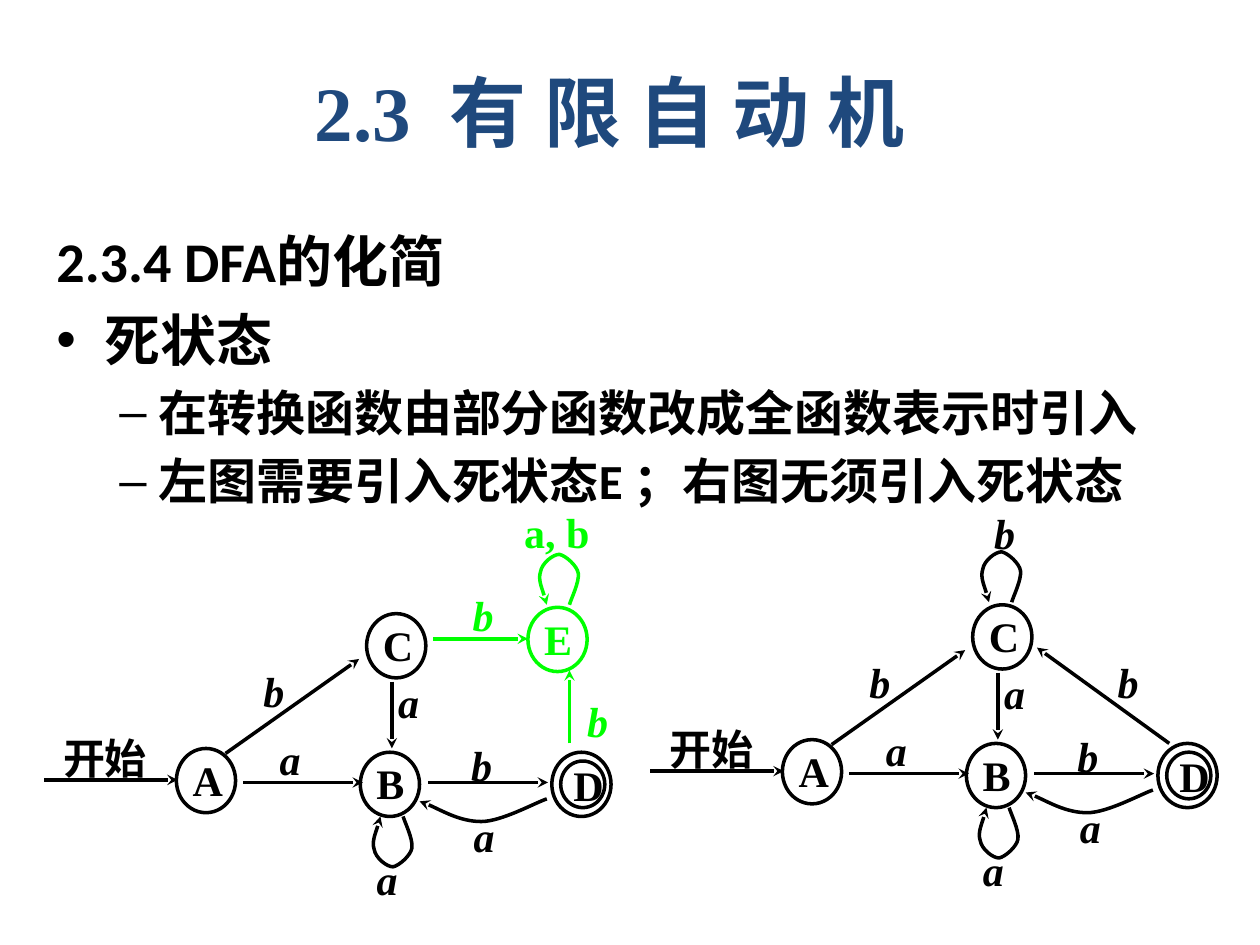
from dataclasses import dataclass

from lxml import etree
from pptx import Presentation
from pptx.dml.color import RGBColor
from pptx.enum.shapes import MSO_CONNECTOR, MSO_SHAPE
from pptx.enum.text import MSO_ANCHOR, PP_ALIGN
from pptx.oxml.ns import qn
from pptx.util import Inches, Pt

STRAIGHT = MSO_CONNECTOR.STRAIGHT
OVAL = MSO_SHAPE.OVAL
TOP, MIDDLE = MSO_ANCHOR.TOP, MSO_ANCHOR.MIDDLE
LEFT, CENTER, JUSTIFY = PP_ALIGN.LEFT, PP_ALIGN.CENTER, PP_ALIGN.JUSTIFY


@dataclass(frozen=True)
class Theme:
    black: RGBColor = RGBColor(0x00, 0x00, 0x00)
    green: RGBColor = RGBColor(0x00, 0xFF, 0x00)
    navy: RGBColor = RGBColor(0x1F, 0x49, 0x7D)
    serif: str = "Times New Roman"
    sans: str = "Calibri"
    title: int = 44
    heading: int = 32
    detail: int = 28
    label: int = 24
    line: int = 2


THEME = Theme()


@dataclass(frozen=True)
class State:
    name: str
    x: float
    y: float
    color: RGBColor = THEME.black
    accepting: bool = False


@dataclass(frozen=True)
class Arrow:
    start: tuple[float, float]
    end: tuple[float, float]
    color: RGBColor = THEME.black


@dataclass(frozen=True)
class Curve:
    """A start point followed by offsets from it, three for each Bézier segment."""
    start: tuple[float, float]
    offsets: tuple[tuple[float, float], ...]
    color: RGBColor = THEME.black


@dataclass(frozen=True)
class Label:
    text: str
    x: float
    y: float
    color: RGBColor = THEME.black
    width: float = 0.38
    height: float = 0.41
    italic: bool = True


@dataclass(frozen=True)
class Bullet:
    text: str
    size: int
    margin: float
    indent: float
    character: str = ""


LOOP_ABOVE = ((0.01, -0.04), (0.08, -0.18), (0.07, -0.25),
              (0.06, -0.31), (-0.03, -0.39), (-0.08, -0.4),
              (-0.13, -0.4), (-0.22, -0.33), (-0.23, -0.26),
              (-0.25, -0.2), (-0.19, -0.05), (-0.18, 0))
LOOP_BELOW = tuple((x, -y) for x, y in LOOP_ABOVE)
RETURN_ARC = ((-0.09, 0.03), (-0.36, 0.18), (-0.52, 0.18),
              (-0.69, 0.18), (-0.91, 0.05), (-1.01, 0.02))

SHARED = (
    State("A", 1.4, 5.94), State("B", 2.86, 5.97),
    State("C", 2.91, 4.87), State("D", 4.38, 5.97, accepting=True),
    Arrow((0.35, 6.19), (1.41, 6.19)), Arrow((1.93, 6.21), (2.88, 6.21)),
    Arrow((3.4, 6.21), (4.35, 6.21)), Arrow((1.79, 5.98), (2.85, 5.23)),
    Arrow((3.11, 5.41), (3.11, 5.94)),
    Curve((3.2, 6.48), LOOP_BELOW), Curve((4.34, 6.34), RETURN_ARC),
    Label("开始", 0.44, 5.78, width=0.82, height=0.48, italic=False),
    Label("a", 2.16, 5.79), Label("a", 2.93, 6.74), Label("b", 3.68, 5.84),
    Label("b", 2.03, 5.25), Label("a", 3.7, 6.4), Label("a", 3.1, 5.34),
)
DEAD_STATE = (
    State("E", 4.19, 4.82, THEME.green),
    Arrow((3.44, 5.07), (4.19, 5.07), THEME.green),
    Arrow((4.52, 5.9), (4.52, 5.32), THEME.green),
    Curve((4.52, 4.8), LOOP_ABOVE, THEME.green),
    Label("a, b", 4.1, 3.99, THEME.green, width=0.75, italic=False),
    Label("b", 3.69, 4.65, THEME.green), Label("b", 4.6, 5.49, THEME.green),
)
TOTAL_FUNCTION = (
    Arrow((9.28, 5.9), (8.23, 5.14)), Curve((8.03, 4.78), LOOP_ABOVE),
    Label("b", 7.83, 4.0), Label("b", 8.81, 5.18),
)
RIGHT_OFFSET = (4.81, -0.07)

BULLETS = (
    Bullet("2.3.4 DFA的化简", THEME.heading, 0.38, -0.38),
    Bullet("死状态", THEME.heading, 0.38, -0.38, "•"),
    Bullet("在转换函数由部分函数改成全函数表示时引入", THEME.detail, 0.81, -0.31, "–"),
    Bullet("左图需要引入死状态E ；右图无须引入死状态", THEME.detail, 0.81, -0.31, "–"),
)


def write(paragraph, text: str, *, size=THEME.label, font=THEME.serif,
          color=THEME.black, italic=False, align=LEFT) -> None:
    paragraph.alignment = align
    run = paragraph.add_run()
    run.text = text
    run.font.name, run.font.size = font, Pt(size)
    run.font.bold, run.font.italic = True, italic
    run.font.color.rgb = color


def set_frame(shape, insets=(0.1, 0.05, 0.1, 0.05), anchor=TOP):
    frame = shape.text_frame
    frame.word_wrap = True
    frame.vertical_anchor = anchor
    (frame.margin_left, frame.margin_top,
     frame.margin_right, frame.margin_bottom) = map(Inches, insets)
    return frame


def add_text_frame(slide, x, y, width, height, **frame_format):
    box = slide.shapes.add_textbox(Inches(x), Inches(y), Inches(width), Inches(height))
    return set_frame(box, **frame_format)


def set_line(shape, color: RGBColor, arrow: bool = False) -> None:
    shape.line.color.rgb = color
    shape.line.width = Pt(THEME.line)
    if arrow:
        line = shape.line._get_or_add_ln()
        etree.SubElement(line, qn("a:tailEnd"), type="stealth")


def add_circle(slide, x, y, width, height, color: RGBColor):
    circle = slide.shapes.add_shape(OVAL, Inches(x), Inches(y), Inches(width), Inches(height))
    circle.shadow.inherit = False
    circle.fill.background()
    set_line(circle, color)
    return circle


def draw_state(slide, state: State, dx: float, dy: float) -> None:
    x, y = state.x + dx, state.y + dy
    circle = add_circle(slide, x, y, 0.47, 0.51, state.color)
    insets, align = (0.06, 0.03, 0.02, 0.05), LEFT
    if state.accepting:
        circle = add_circle(slide, x + 0.07, y + 0.07, 0.35, 0.37, state.color)
        insets, align = (0.05, 0, 0.01, 0), JUSTIFY
    frame = set_frame(circle, insets, MIDDLE)
    write(frame.paragraphs[0], state.name, color=state.color, align=align)


def draw_arrow(slide, arrow: Arrow, dx: float, dy: float) -> None:
    ends = [Inches(value) for x, y in (arrow.start, arrow.end) for value in (x + dx, y + dy)]
    connector = slide.shapes.add_connector(STRAIGHT, *ends)
    set_line(connector, arrow.color, arrow=True)
    etree.SubElement(connector.element.spPr, qn("a:effectLst"))


def draw_curve(slide, curve: Curve, dx: float, dy: float) -> None:
    """Build an outline through the control points, then turn it into Bézier segments."""
    x, y = curve.start[0] + dx, curve.start[1] + dy
    builder = slide.shapes.build_freeform(Inches(x), Inches(y))
    builder.add_line_segments([(Inches(x + a), Inches(y + b)) for a, b in curve.offsets],
                              close=False)
    shape = builder.convert_to_shape()
    shape.shadow.inherit = False
    shape.fill.background()
    set_line(shape, curve.color, arrow=True)
    segments = list(shape.element.iter(qn("a:lnTo")))
    for first in range(0, len(segments), 3):
        bezier = etree.Element(qn("a:cubicBezTo"))
        segments[first].addprevious(bezier)
        for segment in segments[first:first + 3]:
            bezier.append(segment[0])
            segment.getparent().remove(segment)


def draw_label(slide, label: Label, dx: float, dy: float) -> None:
    frame = add_text_frame(slide, label.x + dx, label.y + dy, label.width, label.height,
                           insets=(0.06, 0.03, 0.06, 0.03))
    write(frame.paragraphs[0], label.text, color=label.color, italic=label.italic, align=JUSTIFY)


DRAWERS = {State: draw_state, Arrow: draw_arrow, Curve: draw_curve, Label: draw_label}


def draw_automaton(slide, parts: tuple, dx: float = 0, dy: float = 0) -> None:
    for part in parts:
        DRAWERS[type(part)](slide, part, dx, dy)


def draw_bullets(slide) -> None:
    frame = add_text_frame(slide, 0.35, 1.75, 9.37, 5.31)
    for index, bullet in enumerate(BULLETS):
        paragraph = frame.add_paragraph() if index else frame.paragraphs[0]
        write(paragraph, bullet.text, size=bullet.size, font=THEME.sans)
        paragraph.space_before = Pt(bullet.size * 0.2)
        properties = paragraph._p.get_or_add_pPr()
        properties.set("marL", str(Inches(bullet.margin)))
        properties.set("indent", str(Inches(bullet.indent)))
        if bullet.character:
            etree.SubElement(properties, qn("a:buFont"), typeface="Arial")
            etree.SubElement(properties, qn("a:buChar"), char=bullet.character)


def main() -> None:
    presentation = Presentation()
    presentation.slide_width, presentation.slide_height = Inches(10), Inches(7.5)
    slide = presentation.slides.add_slide(presentation.slide_layouts[6])
    title = add_text_frame(slide, 0.59, 0.25, 8.5, 1.25, anchor=MIDDLE)
    write(title.paragraphs[0], "2.3  有 限 自 动 机", size=THEME.title,
          color=THEME.navy, align=CENTER)
    draw_bullets(slide)
    draw_automaton(slide, SHARED + DEAD_STATE)
    draw_automaton(slide, SHARED, *RIGHT_OFFSET)
    draw_automaton(slide, TOTAL_FUNCTION)
    presentation.save("out.pptx")


if __name__ == "__main__":
    main()
